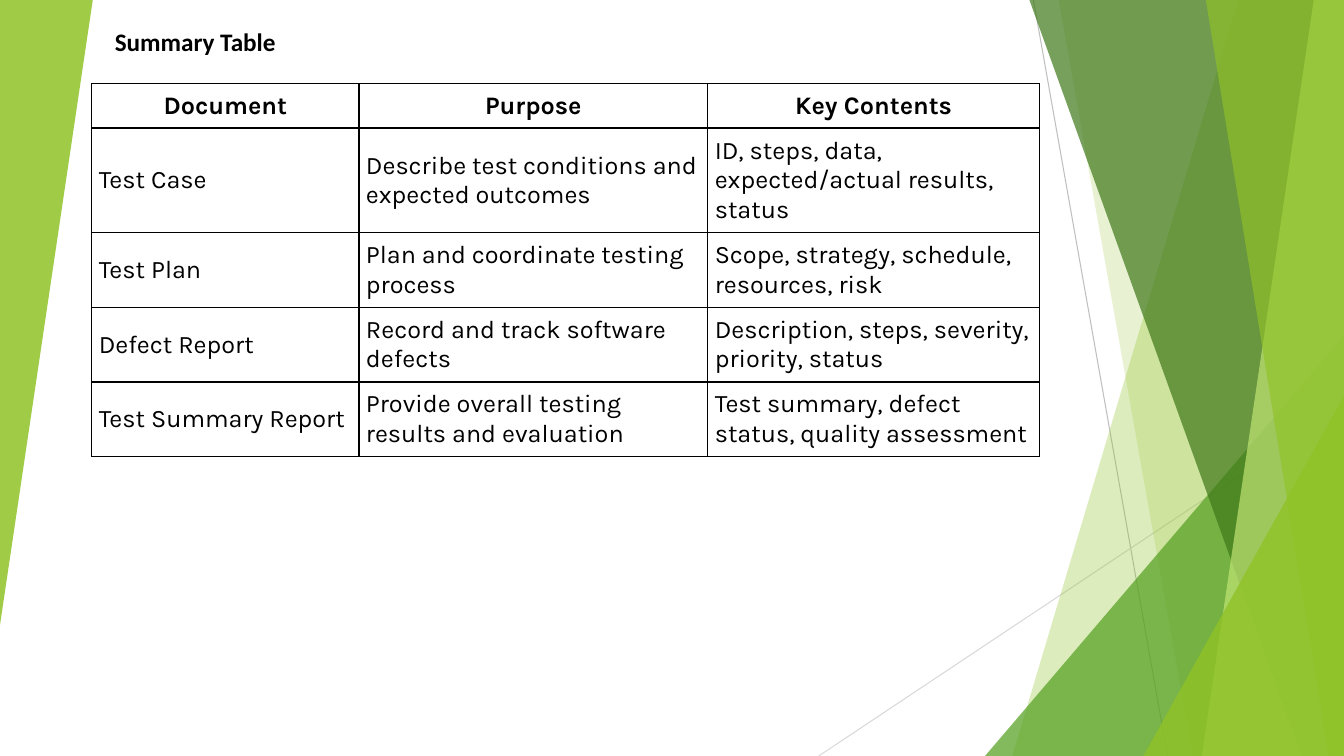
from lxml import etree
from pptx import Presentation
from pptx import util as u
from pptx.dml.color import RGBColor
from pptx.enum import shapes, text
from pptx.oxml.ns import qn

# Content
TITLE = "Summary Table"
ROWS = [
    ("Document", "Purpose", "Key Contents"),
    ("Test Case", "Describe test conditions and expected outcomes",
     "ID, steps, data, expected/actual results, status"),
    ("Test Plan", "Plan and coordinate testing process",
     "Scope, strategy, schedule, resources, risk"),
    ("Defect Report", "Record and track software defects",
     "Description, steps, severity, priority, status"),
    ("Test Summary Report", "Provide overall testing results and evaluation",
     "Test summary, defect status, quality assessment"),
]

# Colours and layout, in inches
BLACK = RGBColor(0x00, 0x00, 0x00)
LIME = RGBColor(0x90, 0xC2, 0x26)
GREEN = RGBColor(0x54, 0xA0, 0x21)
FOREST = RGBColor(0x3F, 0x78, 0x19)
PALE = RGBColor(0xC0, 0xE4, 0x74)
GREY = RGBColor(0xBF, 0xBF, 0xBF)
LIGHT_GREY = RGBColor(0xD9, 0xD9, 0xD9)
WIDTH, HEIGHT = 13.33, 7.5
COLUMN_WIDTHS = (2.65, 3.46, 3.29)
ROW_HEIGHTS = (0.43, 1.04, 0.73, 0.73, 0.73)
CELL_MARGIN = 0.07

# Decoration: start, end, colour
RAYS = [((10.25, 0), (11.58, HEIGHT), GREY),
        ((WIDTH, 4.03), (8.12, HEIGHT), LIGHT_GREY)]
# Bands reach the right edge: (top x, bottom x). Wedges: (left, top, width, height, rotation)
FACETS = [
    ((12.28, 10.04), LIME, 30),
    ((10.5, 11.83), LIME, 20),
    ((9.77, 3.33, 3.56, 4.17, 0), GREEN, 72),
    ((10.21, 12.91), FOREST, 70),
    ((13.03, 11.92), PALE, 70),
    ((11.96, 13.18), LIME, 65),
    ((11.34, 3.93, 1.99, 3.57, 0), LIME, 80),
    ((0, 0, 0.92, 6.2, 180), LIME, 85),
]


def apply(target, values):
    for name, value in values.items():
        setattr(target, name, value)


def write(frame, words, font_name, bold, align):
    paragraph = frame.paragraphs[0]
    paragraph.alignment = align
    run = paragraph.add_run()
    run.text = words
    apply(run.font, {"name": font_name, "size": u.Pt(18), "bold": bold})
    run.font.color.rgb = BLACK


def draw_ray(slide, start, end, colour):
    ray = slide.shapes.add_connector(
        shapes.MSO_CONNECTOR.STRAIGHT, *map(u.Inches, start + end))
    ray.line.color.rgb = colour
    ray.line.width = u.Pt(0.75)
    etree.SubElement(ray._element.spPr, qn("a:effectLst"))


def draw_facet(slide, geometry, colour, opacity):
    if len(geometry) == 2:
        top_x, bottom_x = geometry
        outline = slide.shapes.build_freeform(
            u.Inches(top_x), 0, scale=1.0)
        corners = [(WIDTH, 0), (WIDTH, HEIGHT), (bottom_x, HEIGHT)]
        outline.add_line_segments(
            [(u.Inches(x), u.Inches(y)) for x, y in corners], close=True)
        facet = outline.convert_to_shape()
    else:
        *box, rotation = geometry
        facet = slide.shapes.add_shape(
            shapes.MSO_SHAPE.ISOSCELES_TRIANGLE, *map(u.Inches, box))
        facet.adjustments[0] = 1
        facet.rotation = rotation
    facet.shadow.inherit = False
    facet.line.fill.background()
    facet.fill.solid()
    facet.fill.fore_color.rgb = colour
    tint = facet._element.spPr.find(qn("a:solidFill"))[0]
    etree.SubElement(tint, qn("a:alpha"), val=str(opacity * 1000))


def add_borders(cell):
    properties = cell._tc.get_or_add_tcPr()
    for index, side in enumerate(("lnL", "lnR", "lnT", "lnB")):
        border = etree.Element(qn("a:" + side), w=str(u.Pt(1)))
        fill = etree.SubElement(border, qn("a:solidFill"))
        etree.SubElement(fill, qn("a:srgbClr"), val=str(BLACK))
        properties.insert(index, border)


def draw_table(slide):
    table = slide.shapes.add_table(
        len(ROWS), len(COLUMN_WIDTHS), u.Inches(0.91), u.Inches(0.83),
        u.Inches(sum(COLUMN_WIDTHS)), u.Inches(sum(ROW_HEIGHTS))).table
    apply(table, {"first_row": False, "horz_banding": False})
    for column, width in zip(table.columns, COLUMN_WIDTHS):
        column.width = u.Inches(width)
    for row, height in zip(table.rows, ROW_HEIGHTS):
        row.height = u.Inches(height)
    margins = {"margin_" + side: u.Inches(CELL_MARGIN)
               for side in ("left", "right", "top", "bottom")}
    for r, entries in enumerate(ROWS):
        header = r == 0
        align = text.PP_ALIGN.CENTER if header else text.PP_ALIGN.LEFT
        for c, words in enumerate(entries):
            cell = table.cell(r, c)
            apply(cell, {"vertical_anchor": text.MSO_ANCHOR.MIDDLE, **margins})
            cell.fill.background()
            add_borders(cell)
            write(cell.text_frame, words, "Karla", header, align)


def main():
    deck = Presentation()
    apply(deck, {"slide_width": u.Inches(WIDTH), "slide_height": u.Inches(HEIGHT)})
    slide = deck.slides.add_slide(deck.slide_layouts[6])

    # Background decoration
    for ray in RAYS:
        draw_ray(slide, *ray)
    for facet in FACETS:
        draw_facet(slide, *facet)

    # Heading
    heading = slide.shapes.add_textbox(
        *map(u.Inches, (1.04, 0.21, 9.14, 0.4))).text_frame
    heading.word_wrap = True
    write(heading, TITLE, "Calibri", True, text.PP_ALIGN.LEFT)

    # Document table
    draw_table(slide)
    deck.save("out.pptx")


if __name__ == "__main__":
    main()
